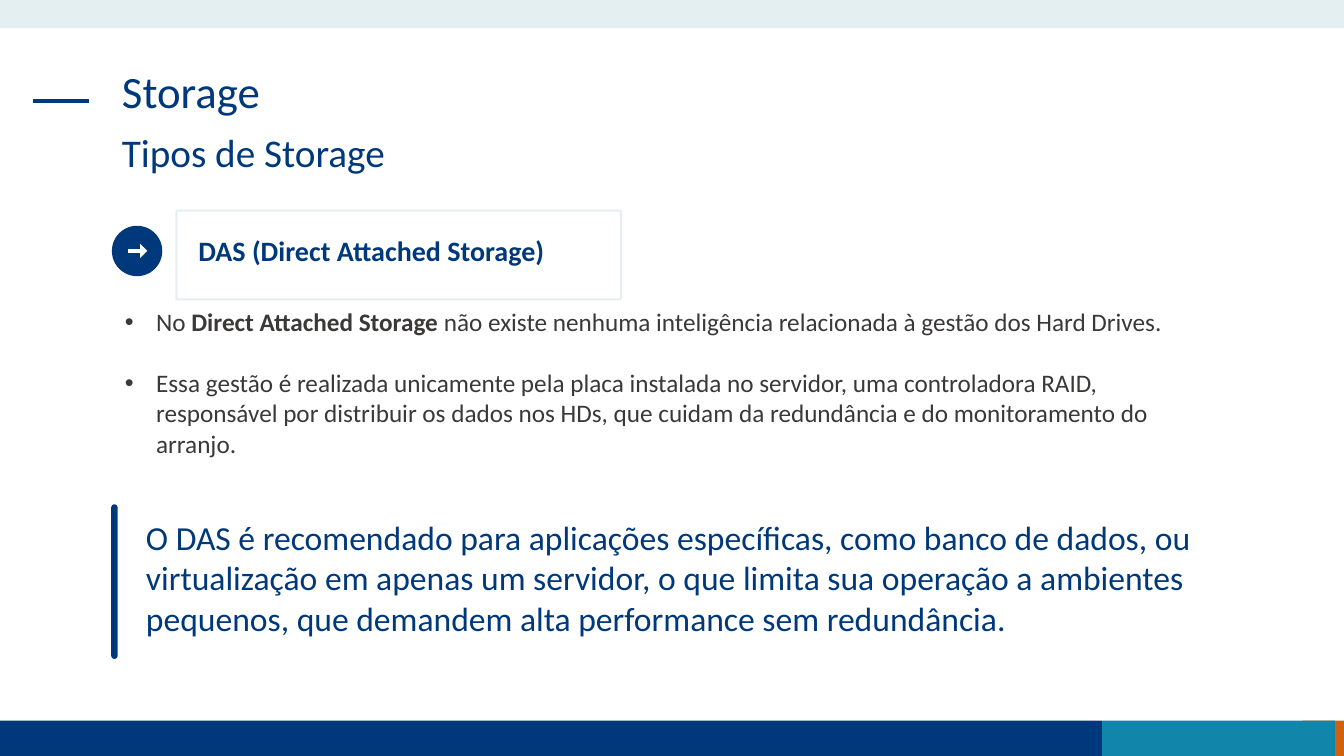
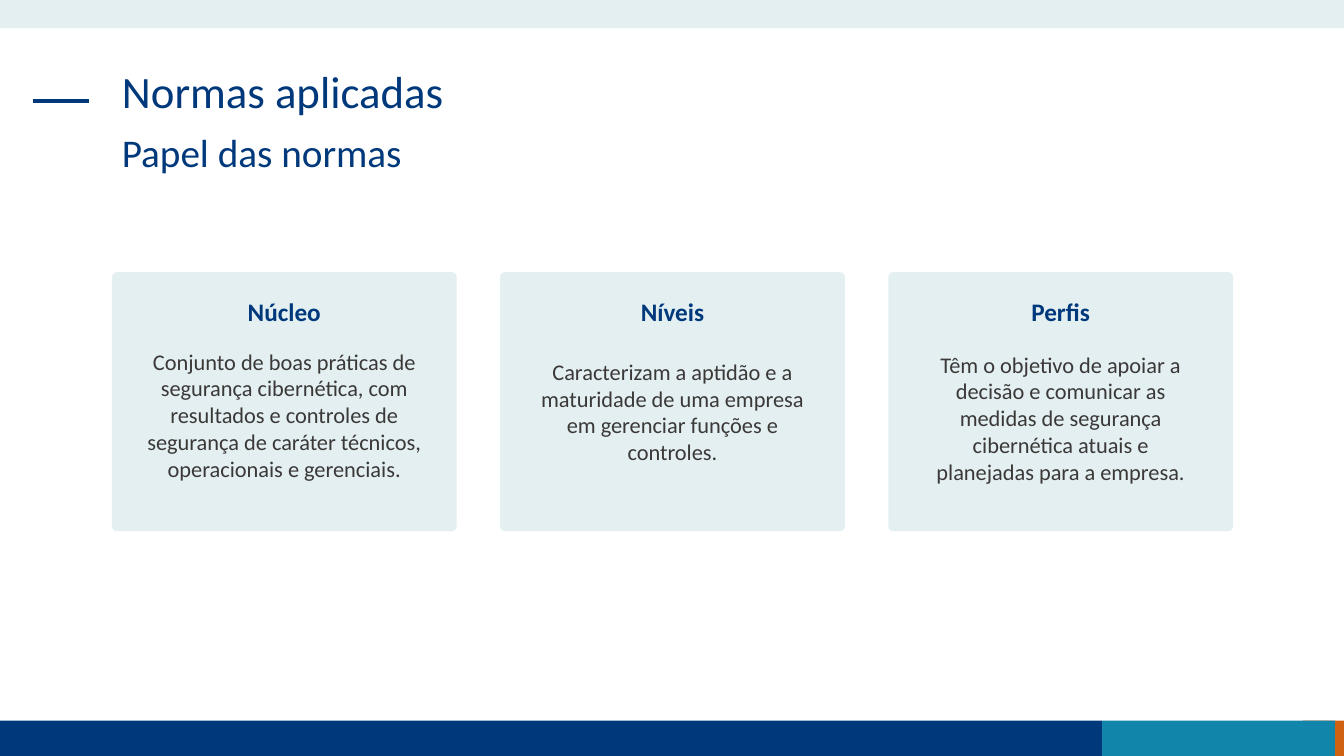
from lxml import etree
from pptx import Presentation
from pptx.dml.color import RGBColor
from pptx.enum.shapes import MSO_CONNECTOR, MSO_SHAPE
from pptx.enum.text import MSO_ANCHOR, MSO_AUTO_SIZE, PP_ALIGN
from pptx.oxml.ns import qn
from pptx.util import Inches, Pt

RECTANGLE = MSO_SHAPE.RECTANGLE
ROUNDED = MSO_SHAPE.ROUNDED_RECTANGLE
OVAL = MSO_SHAPE.OVAL
RIGHT_ARROW = MSO_SHAPE.RIGHT_ARROW
STRAIGHT = MSO_CONNECTOR.STRAIGHT
LEFT, CENTER = PP_ALIGN.LEFT, PP_ALIGN.CENTER
TOP = MSO_ANCHOR.TOP
NO_AUTO_SIZE = MSO_AUTO_SIZE.NONE
TITLE_ONLY = 5

NAVY, TEAL, ORANGE = "00397B", "1185AA", "D06110"
MIST, GRAY, WHITE = "E3EFF1", "3B3838", "FFFFFF"
FONT = "Calibri"
MARGIN = 1.11

TITLE = {"size": 32, "color": NAVY}
SUBTITLE = {"size": 28, "color": NAVY}
LABEL = {"size": 20, "color": NAVY, "bold": True}
BULLET = {"size": 18, "color": GRAY}
QUOTE = {"size": 24, "color": NAVY}
CARD_HEADING = {"size": 18, "color": NAVY, "bold": True}
CARD_BODY = {"size": 16, "color": GRAY}

BANDS = [
    (12.92, 7.15, 0.41, 0.35, ORANGE),
    (0, 7.15, 10.93, 0.35, NAVY),
    (10.93, 7.15, 2.31, 0.35, TEAL),
    (0, 0, 13.33, 0.28, MIST),
]

BULLETS = [
    [("No ", False), ("Direct Attached Storage", True),
     (" não existe nenhuma inteligência relacionada à gestão dos Hard Drives.", False)],
    [("Essa gestão é realizada unicamente pela placa instalada no servidor, uma "
      "controladora RAID, responsável por distribuir os dados nos HDs, que cuidam "
      "da redundância e do monitoramento do arranjo.", False)],
]

QUOTE_TEXT = (
    "O DAS é recomendado para aplicações específicas, como banco de dados, ou "
    "virtualização em apenas um servidor, o que limita sua operação a ambientes "
    "pequenos, que demandem alta performance sem redundância."
)

CARDS = [
    ("Núcleo", 3.4, "Conjunto de boas práticas de segurança cibernética, com resultados e "
     "controles de segurança de caráter técnicos, operacionais e gerenciais."),
    ("Níveis", 3.5, "Caracterizam a aptidão e a maturidade de uma empresa em gerenciar "
     "funções e controles."),
    ("Perfis", 3.43, "Têm o objetivo de apoiar a decisão e comunicar as medidas de segurança "
     "cibernética atuais e planejadas para a empresa."),
]


def rgb(value):
    return RGBColor.from_string(value)


def format_font(font, size, color, bold=False):
    font.color.rgb = rgb(color)
    for name, value in {"name": FONT, "size": Pt(size), "bold": bold}.items():
        setattr(font, name, value)


def add_shape(shapes, kind, box, fill=None, line=None, line_width=1, adjustments=()):
    shape = shapes.add_shape(kind, *map(Inches, box))
    shape.shadow.inherit = False
    if fill:
        shape.fill.solid()
        shape.fill.fore_color.rgb = rgb(fill)
    else:
        shape.fill.background()
    if line:
        shape.line.color.rgb = rgb(line)
        shape.line.width = Pt(line_width)
    else:
        shape.line.fill.background()
    for index, value in enumerate(adjustments):
        shape.adjustments[index] = value
    return shape


def add_text(shapes, box, text, style, align=LEFT, line_spacing=1.0):
    frame = shapes.add_textbox(*map(Inches, box)).text_frame
    frame.word_wrap = True
    para = frame.paragraphs[0]
    para.text = text
    para.alignment = align
    para.line_spacing = line_spacing
    format_font(para.runs[0].font, **style)


def add_bullets(shapes, box, items):
    frame = shapes.add_textbox(*map(Inches, box)).text_frame
    frame.word_wrap = True
    for index, spans in enumerate(items):
        para = frame.add_paragraph() if index else frame.paragraphs[0]
        properties = para._p.get_or_add_pPr()
        properties.set("marL", str(Inches(0.31)))
        properties.set("indent", str(-Inches(0.31)))
        etree.SubElement(properties, qn("a:buFont"), typeface="Arial")
        etree.SubElement(properties, qn("a:buChar"), char="•")
        if index:
            para.space_before = Pt(22)
        for text, bold in spans:
            span = para.add_run()
            span.text = text
            format_font(span.font, **BULLET, bold=bold)


def add_title_rule(shapes):
    rule = shapes.add_connector(STRAIGHT, Inches(0.33), Inches(1), Inches(0.88), Inches(1))
    rule.line.color.rgb = rgb(NAVY)
    rule.line.width = Pt(3)
    etree.SubElement(rule._element.spPr, qn("a:effectLst"))


def add_page(deck, title_text, subtitle):
    """Add a slide with the shared bands, title rule, title and subtitle."""
    page = deck.slides.add_slide(deck.slide_layouts[TITLE_ONLY])
    for *box, color in BANDS:
        add_shape(page.shapes, RECTANGLE, box, fill=color)
    add_title_rule(page.shapes)

    title = page.shapes.title
    place = {"left": MARGIN, "top": 0.64, "width": 11.1, "height": 0.94}
    for name, value in place.items():
        setattr(title, name, Inches(value))
    frame = title.text_frame
    frame.text = title_text
    frame.vertical_anchor = TOP
    frame.auto_size = NO_AUTO_SIZE
    para = frame.paragraphs[0]
    para.alignment = LEFT
    para.line_spacing = 0.9
    format_font(para.runs[0].font, **TITLE)

    add_text(page.shapes, (MARGIN, 1.28, 8.75, 0.59), subtitle, SUBTITLE, line_spacing=0.9)
    return page


def add_arrow_label(shapes, text):
    add_shape(shapes, OVAL, (MARGIN, 2.24, 0.5, 0.5), fill=NAVY)
    add_shape(shapes, RIGHT_ARROW, (1.27, 2.42, 0.19, 0.14), fill=WHITE,
              adjustments=(0.255, 0.5))
    add_shape(shapes, ROUNDED, (1.75, 2.09, 4.41, 0.88), line=MIST, line_width=1.5,
              adjustments=(0.016,))
    add_text(shapes, (1.87, 2.27, 4.2, 0.44), text, LABEL)


def add_quote(shapes, text):
    add_text(shapes, (1.35, 5.08, 11.1, 1.31), text, QUOTE)
    add_shape(shapes, ROUNDED, (MARGIN, 5.01, 0.05, 1.52), fill=NAVY, line=NAVY,
              adjustments=(0.5,))


def add_card(shapes, left, heading, body_top, body):
    width, padding = 3.42, 0.23
    text_left, text_width = left + padding, width - 2 * padding
    add_shape(shapes, ROUNDED, (left, 2.7, width, 2.57), fill=MIST, adjustments=(0.019,))
    add_text(shapes, (text_left, 2.89, text_width, 0.4), heading, CARD_HEADING, CENTER)
    add_text(shapes, (text_left, body_top, text_width, 1.45), body, CARD_BODY, CENTER)


def build_storage(deck):
    shapes = add_page(deck, "Storage", "Tipos de Storage").shapes
    add_arrow_label(shapes, "DAS (Direct Attached Storage)")
    add_bullets(shapes, (1.14, 2.99, 11.1, 1.92), BULLETS)
    add_quote(shapes.add_group_shape().shapes, QUOTE_TEXT)


def build_standards(deck):
    shapes = add_page(deck, "Normas aplicadas", "Papel das normas").shapes
    pitch = 3.85
    for index, card in enumerate(CARDS):
        add_card(shapes.add_group_shape().shapes, MARGIN + index * pitch, *card)


def main():
    deck = Presentation()
    deck.slide_width, deck.slide_height = Inches(13.33), Inches(7.5)
    build_storage(deck)
    build_standards(deck)
    deck.save("out.pptx")


if __name__ == "__main__":
    main()
